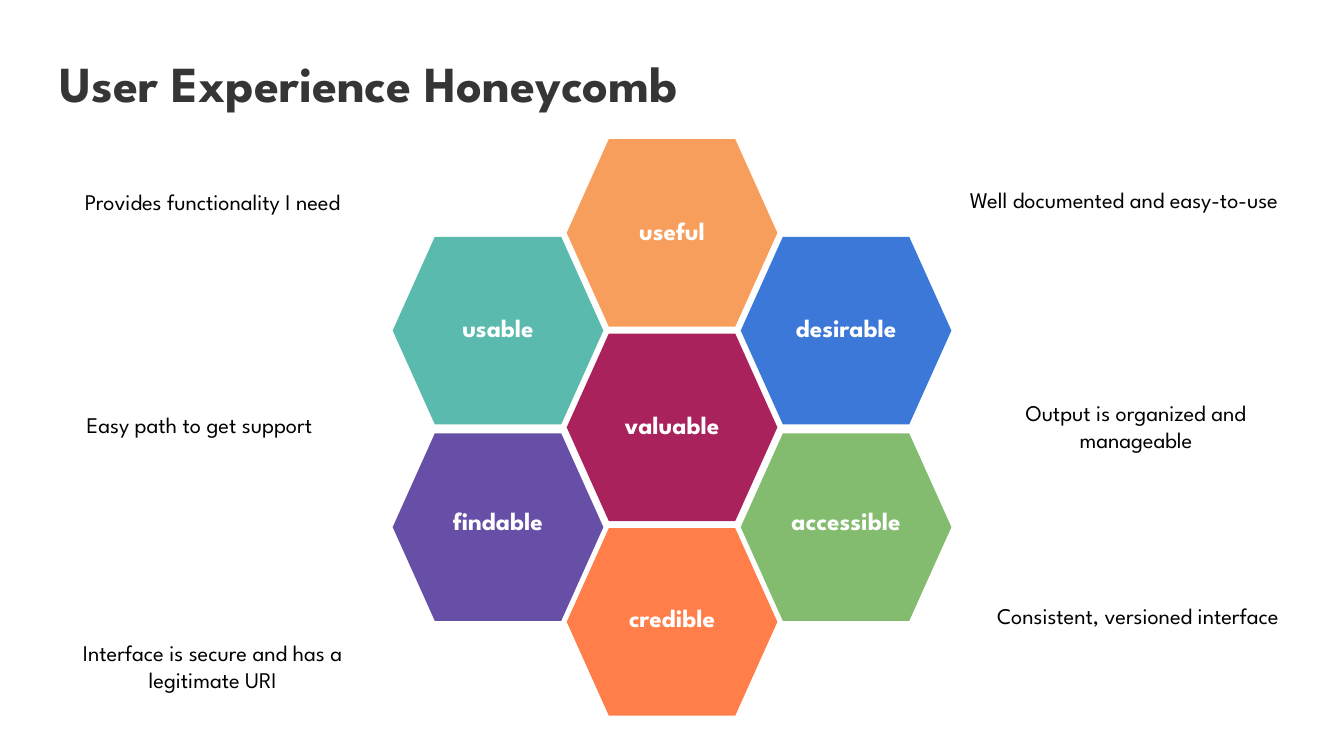
from pptx import Presentation
from pptx.util import Pt
from pptx.dml.color import RGBColor
from pptx.enum.shapes import MSO_SHAPE
from pptx.enum.text import MSO_ANCHOR, MSO_AUTO_SIZE, PP_ALIGN

# Content
FONT = "League Spartan"
COLORS = {
    "title": "353535", "note": "000000", "label": "FFFFFF",
    "useful": "F89E5C", "valuable": "A9225C", "credible": "FF7E4A",
    "desirable": "3C78D8", "usable": "5ABAAE",
    "accessible": "84BC6F", "findable": "674EA7",
}
TITLE = "User Experience Honeycomb"
# Name, column and row in the honeycomb
CELLS = [
    ("useful", 1, 0), ("valuable", 1, 2), ("credible", 1, 4),
    ("desirable", 2, 1), ("usable", 0, 1),
    ("accessible", 2, 3), ("findable", 0, 3),
]
# Text, left, top, width, height
NOTES = [
    ("Provides functionality I need", 31.7, 127.4, 240.5, 37.4),
    ("Well documented and easy-to-use", 668.2, 126, 269.3, 37.4),
    ("Easy path to get support", 22.3, 286.6, 240.5, 37.4),
    ("Output is organized and manageable", 691.2, 277.9, 240.5, 54.7),
    ("Interface is secure and has a legitimate URI", 22.3, 449.3, 259.2, 58.3),
    ("Consistent, versioned interface", 678.2, 422.6, 269.3, 37.4),
]

# Honeycomb grid
LEFT, STEP = 280.5, 124.3
TOPS = [99.4, 169.2, 238.3, 309.6, 377.3]
HEX_W, HEX_H = 150.5, 133.9
TAG_W, TAG_H = 128.2, 54.7
TAG_TOP, TAG_STEP = 146.9, 69


def color(name):
    return RGBColor.from_string(COLORS[name])


def write(shape, text, size, tint, bold=False, align=PP_ALIGN.CENTER,
          anchor=MSO_ANCHOR.TOP):
    frame = shape.text_frame
    frame.text = text
    frame.word_wrap = True
    frame.auto_size = MSO_AUTO_SIZE.NONE
    frame.vertical_anchor = anchor
    frame.margin_left = frame.margin_right = Pt(7.2)
    frame.margin_top = frame.margin_bottom = Pt(7.2)
    para = frame.paragraphs[0]
    para.alignment = align
    font = para.runs[0].font
    font.name, font.size, font.bold = FONT, Pt(size), bold
    font.color.rgb = color(tint)


def add_text(slide, box, *style):
    shape = slide.shapes.add_textbox(*map(Pt, box))
    write(shape, *style)


def add_hex(slide, name, col, row):
    shape = slide.shapes.add_shape(
        MSO_SHAPE.FLOWCHART_PREPARATION,
        Pt(LEFT + col * STEP), Pt(TOPS[row]), Pt(HEX_W), Pt(HEX_H))
    shape.shadow.inherit = False
    shape.fill.solid()
    shape.fill.fore_color.rgb = color(name)
    shape.line.fill.background()


def main():
    deck = Presentation()
    deck.slide_width, deck.slide_height = Pt(960), Pt(540)
    slide = deck.slides.add_slide(deck.slide_layouts[5])

    # Title
    title = slide.shapes.title
    title.left, title.top = Pt(35.3), Pt(9.4)
    title.width, title.height = Pt(548.6), Pt(104.4)
    write(title, TITLE, 36, "title", True, PP_ALIGN.LEFT, MSO_ANCHOR.MIDDLE)
    title.text_frame.paragraphs[0].line_spacing = 0.9

    # Hexagons, then their labels on top
    for cell in CELLS:
        add_hex(slide, *cell)
    inset = (HEX_W - TAG_W) / 2
    for name, col, row in CELLS:
        box = (LEFT + col * STEP + inset, TAG_TOP + row * TAG_STEP,
               TAG_W, TAG_H)
        add_text(slide, box, name, 18, "label", True)

    # Notes at the sides
    for text, *box in NOTES:
        add_text(slide, box, text, 16, "note")

    deck.save("out.pptx")


if __name__ == "__main__":
    main()
